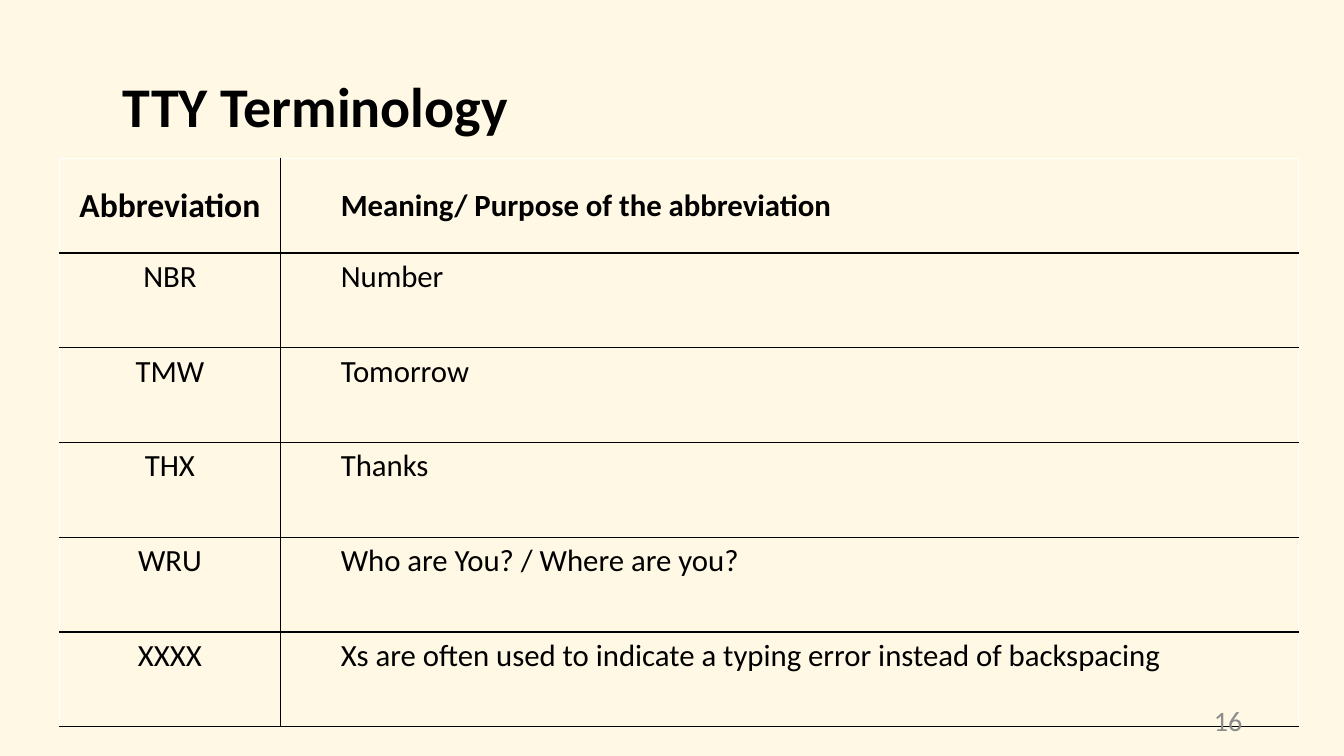
from lxml import etree
from pptx import Presentation
from pptx import util as u
from pptx.dml import color
from pptx.enum import text
from pptx.oxml import ns

ROWS = [
    ("Abbreviation", "Meaning/ Purpose of the abbreviation"),
    ("NBR", "Number"),
    ("TMW", "Tomorrow"),
    ("THX", "Thanks"),
    ("WRU", "Who are You? / Where are you?"),
    ("XXXX", "Xs are often used to indicate a typing error instead of backspacing"),
]
WIDTHS = (2.19, 10.1)
HIGH = 0.94
BLACK, WHITE, GREY, CREAM = "000000", "FFFFFF", "8C8C8C", "FFF8E5"
LEFT, MID, RIGHT = text.PP_ALIGN.LEFT, text.PP_ALIGN.CENTER, text.PP_ALIGN.RIGHT


def paint(fill, tone):
    fill.solid()
    fill.fore_color.rgb = color.RGBColor.from_string(tone)


def write(frame, words, size, tone=BLACK, bold=False, **form):
    para = frame.paragraphs[0]
    for name, value in form.items():
        setattr(para, name, value)
    run = para.add_run()
    run.text = words
    for name, value in {"name": "Calibri", "size": u.Pt(size), "bold": bold}.items():
        setattr(run.font, name, value)
    paint(run.font.fill, tone)


def label(slide, box, words, size, **form):
    frame = slide.shapes.add_textbox(*map(u.Inches, box)).text_frame
    frame.word_wrap = True
    frame.vertical_anchor = text.MSO_ANCHOR.MIDDLE
    write(frame, words, size, **form)


def edge(cell, **tones):
    props = cell._tc.get_or_add_tcPr()
    for side, tone in tones.items():
        line = etree.SubElement(props, ns.qn("a:ln" + side), w=str(u.Pt(1)))
        solid = etree.SubElement(line, ns.qn("a:solidFill"))
        etree.SubElement(solid, ns.qn("a:srgbClr"), val=tone)


def grid(slide, left, top):
    box = (left, top, sum(WIDTHS), HIGH * len(ROWS))
    table = slide.shapes.add_table(len(ROWS), len(WIDTHS), *map(u.Inches, box)).table
    table.horz_banding = False
    for col, width in zip(table.columns, WIDTHS):
        col.width = u.Inches(width)
    for i, pair in enumerate(ROWS):
        table.rows[i].height = u.Inches(HIGH)
        head = i == 0
        for j, words in enumerate(pair):
            cell = table.cell(i, j)
            first = j == 0
            edge(cell, L=WHITE if first else BLACK, R=BLACK if first else WHITE,
                 T=WHITE if head else BLACK, B=BLACK)
            cell.fill.background()
            cell.vertical_anchor = text.MSO_ANCHOR.MIDDLE if head else text.MSO_ANCHOR.TOP
            write(cell.text_frame, words, 24 if head and first else 22, bold=head,
                  alignment=MID if first else LEFT, level=j)


def main():
    deck = Presentation()
    deck.slide_width, deck.slide_height = u.Inches(13.33), u.Inches(7.5)
    slide = deck.slides.add_slide(deck.slide_layouts[6])
    paint(slide.background.fill, CREAM)
    label(slide, (1.12, 0.38, 11.08, 1.41), "TTY Terminology", 40, bold=True, line_spacing=0.9)
    grid(slide, 0.59, 1.57)
    label(slide, (9.42, 6.95, 3, 0.4), "16", 20, tone=GREY, alignment=RIGHT)
    deck.save("out.pptx")


if __name__ == "__main__":
    main()
